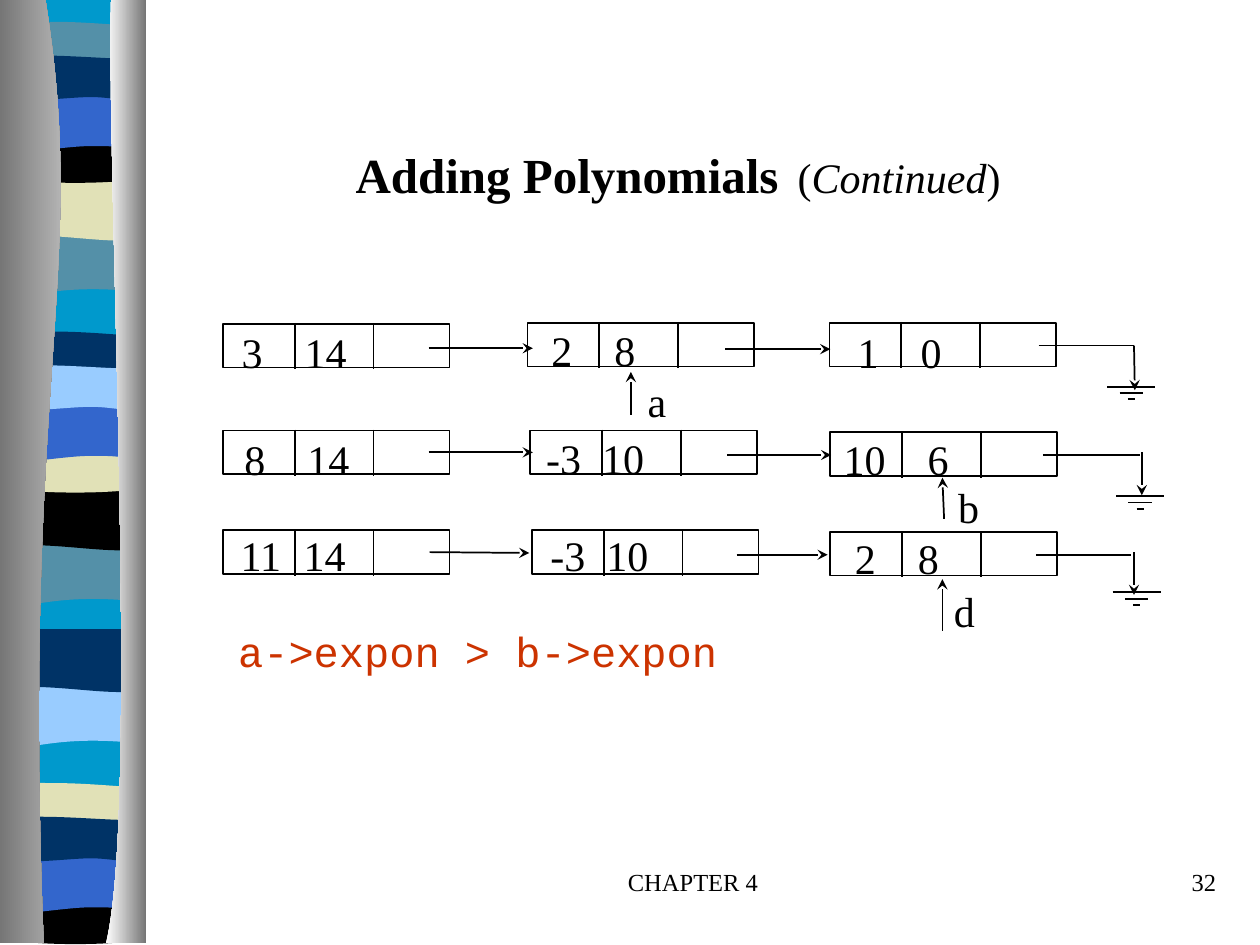
from dataclasses import dataclass
from typing import NamedTuple, Optional

from lxml.etree import SubElement
from pptx import Presentation
from pptx.dml.color import RGBColor
from pptx.enum.shapes import MSO_CONNECTOR as Connector, MSO_SHAPE as Shape
from pptx.enum.text import MSO_ANCHOR as Anchor, PP_ALIGN as Align
from pptx.oxml.ns import qn
from pptx.util import Pt

COLORS = {
    "black": "000000", "cyan": "0099CC", "teal": "5490A8", "sand": "E1E1B7",
    "blue": "3366CC", "navy": "003366", "sky": "99CCFF", "red": "CC3300",
    "gray": "767676", "silver": "D0D0D0", "white": "FFFFFF",
}
SERIF, MONO = "Times New Roman", "Courier New"
NODE_WIDTH, NODE_HEIGHT = 129.5, 25
DIVIDERS = (41, 86)
GROUND_WIDTHS, GROUND_GAP = (27.5, 13.5, 4), 3.6


class Box(NamedTuple):
    left: float
    top: float
    width: float
    height: float = 36


class Line(NamedTuple):
    x1: float
    y1: float
    x2: float
    y2: float


@dataclass
class Node:
    left: float
    top: float
    coefficient: str
    exponent: str
    text_box: Box
    tab: float = 36


@dataclass
class Polynomial:
    nodes: list[Node]
    links: list[Line]
    tail: Line
    drop: Line
    ground_center: float
    ground_top: float


@dataclass
class Pointer:
    name: str
    arrow: Line
    text_box: Box


@dataclass
class Band:
    top: float
    upper: list
    lower: list


FLAT = [(4, 0), (82, 0)]
BANDS = {
    "ripple": Band(133, FLAT, [(82, 34), (28, 28), (17, 40), (4, 34)]),
    "swell": Band(101.5, FLAT, [(82, 34), (69, 40), (28, 30), (4, 34)]),
    "thin": Band(11.5, [(4, 4), (9, 0), (21, 1), (34, 1), (47, 1), (72, 3), (82, 4)],
                 [(82, 21), (69, 24), (17, 24), (4, 21)]),
    "bowl": Band(78, [(4, 0), (52, 4), (66, 0), (82, 0)],
                 [(82, 23.5), (69, 27.5), (17, 27.5), (4, 23.5)]),
    "arch": Band(53.5, FLAT, [(82, 34), (70, 30), (65, 30), (52, 30), (39, 30), (16, 34), (4, 34)]),
    "wave": Band(29.5, [(4, 4), (15, 0), (57, 4), (70, 4), (73, 4), (78, 4), (82, 4)],
                 [(82, 26), (77, 30), (65, 26), (52, 26), (39, 26), (12, 30), (4, 26)]),
}
CYCLES = [
    (0, dict(ripple="teal", swell="sand", thin="teal", bowl="black", arch="blue", wave="navy")),
    (177, dict(ripple="teal", swell="black", thin="navy", bowl="sand", arch="blue", wave="sky")),
    (258, dict(ripple="sky", swell="navy")),
    (435, dict(thin="sand", bowl="black", arch="blue", wave="navy")),
]
POLYNOMIALS = [
    Polynomial([Node(127.5, 185, "3", "14", Box(131, 183, 113)),
                Node(301.5, 184.5, "2", "8", Box(308, 182, 109.5)),
                Node(474, 184.5, "1", "0", Box(483, 183, 95))],
               [Line(245, 199, 304.5, 199), Line(414.5, 199.5, 474.5, 199.5)],
               Line(593.5, 197.5, 648, 197.5), Line(648, 197.5, 648.5, 223), 646.5, 221),
    Polynomial([Node(127.5, 246, "8", "14", Box(132.5, 244, 106.5)),
                Node(303, 246, "-3", "10", Box(305, 243.5, 93), 32),
                Node(474.5, 247, "10", "6", Box(475, 244, 105), 48)],
               [Line(245, 258.5, 304.5, 258.5), Line(415.5, 260, 475, 260)],
               Line(596, 260, 651.5, 260), Line(652.5, 258.5, 652.5, 283), 651.5, 283.5),
    Polynomial([Node(127.5, 303, "11", "14", Box(130.5, 299, 114)),
                Node(304, 303, "-3", "10", Box(307.5, 299, 114), 32),
                Node(474.5, 304, "2", "8", Box(481.5, 301, 114))],
               [Line(245.5, 315.5, 302.5, 316), Line(421, 317, 473, 317)],
               Line(592, 317, 646.5, 317), Line(648, 315.5, 648, 340), 649.5, 338.5),
]
POINTERS = [
    Pointer("a", Line(360.5, 237, 360.5, 212.5), Box(363, 211, 26)),
    Pointer("b", Line(539.5, 296.5, 538.5, 273), Box(540.5, 271.5, 28)),
    Pointer("d", Line(538.5, 360.5, 538.5, 331), Box(538, 331, 26.5)),
]


def rgb(name: str) -> RGBColor:
    return RGBColor.from_string(COLORS[name])


def add_text_box(slide, box: Box, align=Align.LEFT, anchor=Anchor.TOP, wrap: bool = True):
    frame = slide.shapes.add_textbox(*map(Pt, box)).text_frame
    frame.word_wrap = wrap
    frame.vertical_anchor = anchor
    paragraph = frame.paragraphs[0]
    paragraph.alignment = align
    return paragraph


def write(paragraph, text: str, *, size: float = 24, font: str = SERIF, color: str = "black",
          bold: bool = False, italic: bool = False, tab: Optional[float] = None) -> None:
    if tab is not None:
        tabs = SubElement(paragraph._p.get_or_add_pPr(), qn("a:tabLst"))
        SubElement(tabs, qn("a:tab"), pos=str(Pt(tab)), algn="l")
    run = paragraph.add_run()
    run.text = text
    run.font.size, run.font.name = Pt(size), font
    run.font.bold, run.font.italic = bold, italic
    run.font.color.rgb = rgb(color)


def add_line(slide, line: Line, arrow: bool = False) -> None:
    connector = slide.shapes.add_connector(Connector.STRAIGHT, *map(Pt, line))
    connector.line.color.rgb = rgb("black")
    connector.line.width = Pt(1)
    if arrow:
        SubElement(connector.line._get_or_add_ln(), qn("a:tailEnd"), type="stealth")
    SubElement(connector._element.spPr, qn("a:effectLst"))


def bend_edges(shape, edges: list) -> None:
    steps = list(next(shape._element.iter(qn("a:path"))))
    position = 0
    for edge in edges:
        for start in range(position + 1, position + len(edge) - 2, 3):
            first, *others = steps[start:start + 3]
            first.tag = qn("a:cubicBezTo")
            for step in others:
                first.append(step[0])
                step.getparent().remove(step)
        position += len(edge)


def add_outline(slide, edges: list, *colors: str, top: float = 0) -> None:
    vertices = [(Pt(x), Pt(y + top)) for edge in edges for x, y in edge]
    builder = slide.shapes.build_freeform(*vertices[0], scale=1)
    builder.add_line_segments(vertices[1:], close=True)
    shape = builder.convert_to_shape()
    bend_edges(shape, edges)
    shape.shadow.inherit = False
    shape.line.fill.background()
    if len(colors) == 1:
        shape.fill.solid()
        shape.fill.fore_color.rgb = rgb(colors[0])
        return
    shape.fill.gradient()
    shape.fill.gradient_angle = 0
    for stop, color in zip(shape.fill.gradient_stops, colors):
        stop.color.rgb = rgb(color)


def add_side_strip(slide) -> None:
    add_outline(slide, [FLAT, [(82, 538), (4, 538)]], "cyan")
    for offset, colors in CYCLES:
        for name, color in colors.items():
            band = BANDS[name]
            add_outline(slide, [band.upper, band.lower], color, top=band.top + offset)
    add_outline(slide, [[(26, 0), (51, 155.5), (12, 213), (25, 539)], [(0, 539), (0, 0)]],
                "gray", "silver")
    add_outline(slide, [[(63.5, 0), (60.5, 90), (80, 465), (60.5, 539)], [(83.5, 539), (83.5, 0)]],
                "white", "gray")


def add_node(slide, node: Node) -> None:
    shape = slide.shapes.add_shape(Shape.RECTANGLE, Pt(node.left), Pt(node.top),
                                   Pt(NODE_WIDTH), Pt(NODE_HEIGHT))
    shape.shadow.inherit = False
    shape.fill.background()
    shape.line.color.rgb = rgb("black")
    shape.line.width = Pt(1)
    for offset in DIVIDERS:
        x = node.left + offset
        add_line(slide, Line(x, node.top - 0.5, x, node.top + NODE_HEIGHT + 1))
    paragraph = add_text_box(slide, node.text_box)
    write(paragraph, f"{node.coefficient}\t{node.exponent}", tab=node.tab)


def add_polynomial(slide, polynomial: Polynomial) -> None:
    for node in polynomial.nodes:
        add_node(slide, node)
    for link in polynomial.links:
        add_line(slide, link, arrow=True)
    add_line(slide, polynomial.tail)
    add_line(slide, polynomial.drop, arrow=True)
    for index, width in enumerate(GROUND_WIDTHS):
        y = polynomial.ground_top + index * GROUND_GAP
        left = polynomial.ground_center - width / 2
        add_line(slide, Line(left, y, left + width, y))


def main() -> None:
    presentation = Presentation()
    presentation.slide_width, presentation.slide_height = Pt(720), Pt(540)
    slide = presentation.slides.add_slide(presentation.slide_layouts[6])
    add_side_strip(slide)
    write(add_text_box(slide, Box(282, 492, 228), Align.CENTER), "CHAPTER 4", size=14)
    write(add_text_box(slide, Box(552, 492, 150), Align.RIGHT), "32", size=14)
    title = add_text_box(slide, Box(56, 48, 663, 90), Align.CENTER, Anchor.MIDDLE)
    write(title, "Adding Polynomials", size=28, bold=True)
    write(title, " ", size=44)
    write(title, "(")
    write(title, "Continued", italic=True)
    write(title, ")")
    for polynomial in POLYNOMIALS:
        add_polynomial(slide, polynomial)
    for pointer in POINTERS:
        add_line(slide, pointer.arrow, arrow=True)
        write(add_text_box(slide, pointer.text_box), pointer.name)
    condition = add_text_box(slide, Box(129, 354, 288), wrap=False)
    write(condition, "a->expon > b->expon", font=MONO, color="red")
    presentation.save("out.pptx")


if __name__ == "__main__":
    main()
